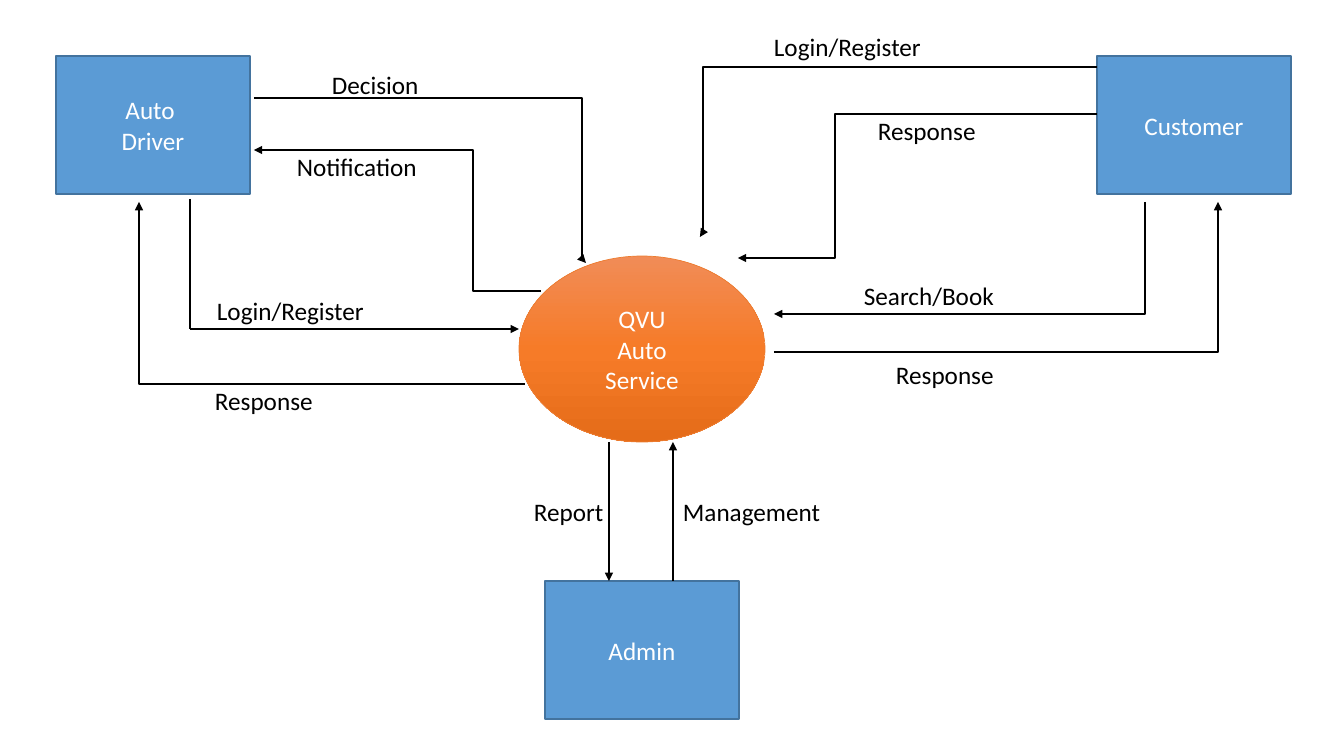
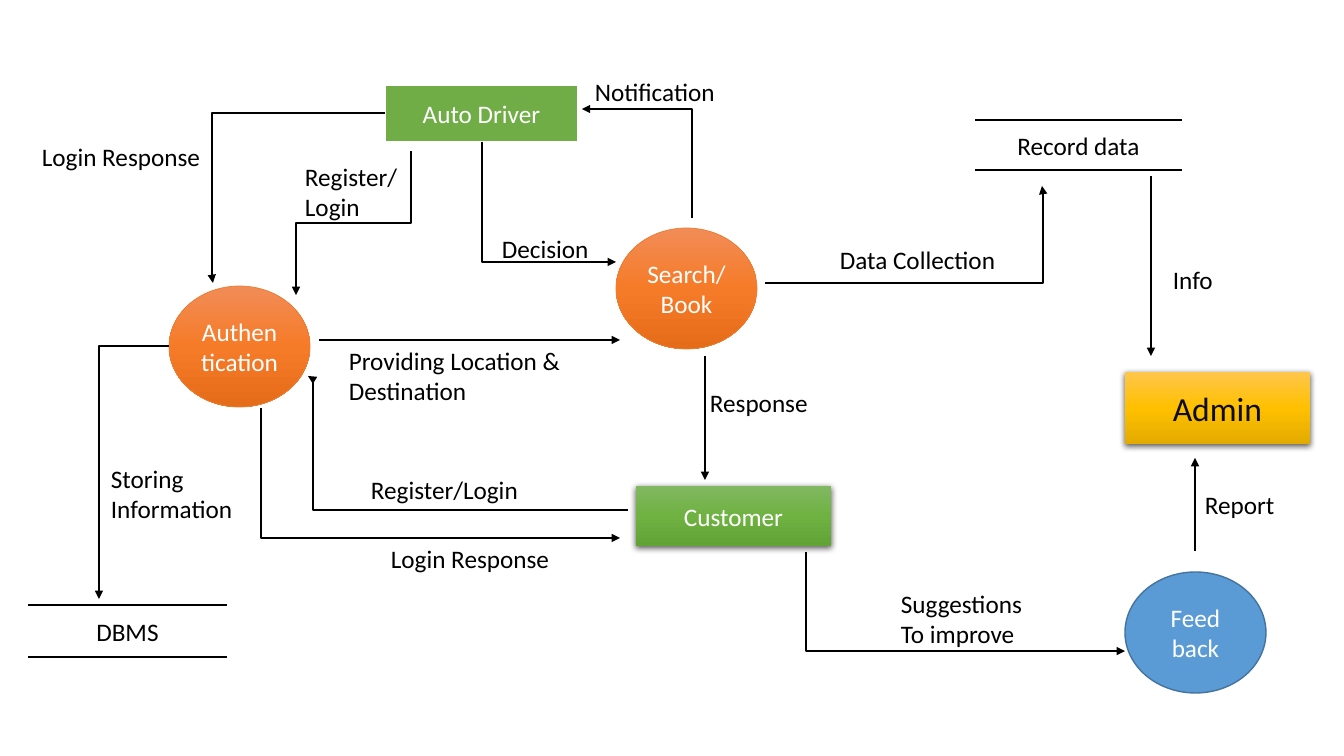
from copy import deepcopy
from dataclasses import dataclass
from typing import Any

from lxml import etree
from pptx import Presentation
from pptx.dml.color import RGBColor
from pptx.enum.shapes import MSO_CONNECTOR, MSO_SHAPE
from pptx.enum.text import MSO_ANCHOR, MSO_AUTO_SIZE, PP_ALIGN
from pptx.oxml.ns import qn
from pptx.util import Emu, Pt

RECT, OVAL = MSO_SHAPE.RECTANGLE, MSO_SHAPE.OVAL
STRAIGHT, ELBOW = MSO_CONNECTOR.STRAIGHT, MSO_CONNECTOR.ELBOW
LEFT, CENTER = PP_ALIGN.LEFT, PP_ALIGN.CENTER
MIDDLE, FIT_TEXT = MSO_ANCHOR.MIDDLE, MSO_AUTO_SIZE.SHAPE_TO_FIT_TEXT

FONT = "Calibri"
BLACK = RGBColor(0x00, 0x00, 0x00)
WHITE = RGBColor(0xFF, 0xFF, 0xFF)
INK = RGBColor(0x0D, 0x0D, 0x0D)
BLUE = RGBColor(0x5B, 0x9B, 0xD5)
BLUE_EDGE = RGBColor(0x43, 0x73, 0x9E)
GREEN = RGBColor(0x70, 0xAD, 0x47)
ORANGE_EDGE = RGBColor(0xED, 0x7D, 0x31)
ORANGES = [RGBColor(0xF1, 0x8C, 0x57), RGBColor(0xF6, 0x7B, 0x28), RGBColor(0xE5, 0x6C, 0x19)]
GREENS = [RGBColor(0x81, 0xB8, 0x61), RGBColor(0x6F, 0xB2, 0x42), RGBColor(0x62, 0xA3, 0x36)]
GOLDS = [RGBColor(0xFF, 0xC6, 0x4B), RGBColor(0xFF, 0xC0, 0x00), RGBColor(0xE3, 0xAB, 0x00)]

# Node styles: fill (one colour or three gradient stops), edge colour, edge width
ENTITY = (BLUE, BLUE_EDGE, 1)
PROCESS = (ORANGES, ORANGE_EDGE, 0.5)
DRIVER = (GREEN, WHITE, 1.5)
RAISED_GREEN = (GREENS, None, 0)
RAISED_GOLD = (GOLDS, None, 0)

ENTITY_SIZE = (194, 138)
CIRCLE_SIZE = (141, 121)
LINE_H = 40
TWO_LINES_H = 72


def px(n):
    return Emu(round(n * 914400 / 100.8))


def write(tf, lines, size, color, align):
    for i, line in enumerate(lines):
        p = tf.paragraphs[0] if i == 0 else tf.add_paragraph()
        p.alignment = align
        r = p.add_run()
        r.text = line
        r.font.name, r.font.size = FONT, Pt(size)
        r.font.color.rgb = color


def paint(sp, fill):
    if not isinstance(fill, list):
        sp.fill.solid()
        sp.fill.fore_color.rgb = fill
        return
    sp.fill.gradient()
    sp.fill.gradient_angle = 270
    stops = sp.element.find(".//" + qn("a:gsLst"))
    stops.insert(1, deepcopy(stops[0]))
    for i, (stop, color) in enumerate(zip(sp.fill.gradient_stops, fill)):
        stop.color.rgb = color
        stop.position = i / 2


def add_shadow(sp):
    effects = sp.element.spPr.find(qn("a:effectLst"))
    shadow = etree.SubElement(effects, qn("a:outerShdw"), blurRad="57150",
                              dist="19050", dir="5400000", algn="ctr", rotWithShape="0")
    color = etree.SubElement(shadow, qn("a:srgbClr"), val="000000")
    etree.SubElement(color, qn("a:alpha"), val="63000")


@dataclass
class Region:
    """Part of a diagram; all coordinates are relative to its corner."""
    s: Any
    x: int
    y: int

    def node(self, kind, size, lines, style, text_size=18, color=WHITE):
        fill, edge, width = style
        sp = self.s.shapes.add_shape(kind, px(self.x), px(self.y), *map(px, size))
        sp.shadow.inherit = False
        paint(sp, fill)
        if edge is None:
            sp.line.fill.background()
            add_shadow(sp)
        else:
            sp.line.color.rgb = edge
            sp.line.width = Pt(width)
        tf = sp.text_frame
        tf.word_wrap, tf.vertical_anchor = True, MIDDLE
        write(tf, lines, text_size, color, CENTER)

    def label(self, x, y, w, *lines, wrap=False, align=LEFT):
        h = LINE_H if len(lines) == 1 else TWO_LINES_H
        tb = self.s.shapes.add_textbox(px(self.x + x), px(self.y + y), px(w), px(h))
        tf = tb.text_frame
        tf.word_wrap, tf.auto_size = wrap, FIT_TEXT
        write(tf, lines, 18, BLACK, align)

    def line(self, start, end, kind=STRAIGHT, head=True):
        points = [px(o + n) for point in (start, end) for o, n in zip((self.x, self.y), point)]
        cn = self.s.shapes.add_connector(kind, *points)
        cn.line.color.rgb = BLACK
        cn.line.width = Pt(1.5)
        if head:
            etree.SubElement(cn.line._get_or_add_ln(), qn("a:tailEnd"), type="triangle")
        etree.SubElement(cn.element.spPr, qn("a:effectLst"))
        return cn

    def elbow(self, start, end, turn):
        """Arrow that runs level to x = turn, then upright, then level."""
        cn = self.line(start, end, ELBOW)
        share = round(100000 * (turn - start[0]) / (end[0] - start[0]))
        guides = cn.element.find(".//" + qn("a:avLst"))
        etree.SubElement(guides, qn("a:gd"), name="adj1", fmla=f"val {share}")

    def step_down(self, start, end):
        """Arrow down, left, then down again: an elbow turned a quarter."""
        (x1, y1), (x2, y2) = start, end
        cx, cy, half_w, half_h = (x1 + x2) / 2, (y1 + y2) / 2, (y2 - y1) / 2, (x1 - x2) / 2
        cn = self.line((cx - half_w, cy - half_h), (cx + half_w, cy + half_h), ELBOW)
        cn.element.find(".//" + qn("a:xfrm")).set("rot", "5400000")


# Context diagram
def service_hub(g):
    g.node(OVAL, (246, 186), ["QVU", "Auto", "Service"], PROCESS)


def driver_context(g):
    g.node(RECT, ENTITY_SIZE, ["Auto ", "Driver"], ENTITY)
    g.elbow((198, 42), (530, 207), 526)
    g.label(266, 8, 108, "Decision")
    g.elbow((485, 235), (198, 94), 417)
    g.label(231, 90, 142, "Notification")
    g.line((134, 143), (134, 273), head=False)
    g.line((134, 273), (463, 273))
    g.label(151, 234, 169, "Login/Register")
    g.elbow((469, 328), (83, 146), 83)
    g.label(149, 324, 119, "Response")


def customer_context(g):
    g.node(RECT, ENTITY_SIZE, ["Customer"], ENTITY)
    g.elbow((0, 11), (-397, 181), -394)
    g.label(-333, -30, 169, "Login/Register")
    g.elbow((0, 58), (-359, 202), -262)
    g.label(-229, 54, 119, "Response")
    g.elbow((48, 146), (-323, 258), 48)
    g.label(-243, 219, 151, "Search/Book")
    g.elbow((-323, 296), (121, 146), 121)
    g.label(-211, 298, 119, "Response")


def admin_context(g):
    g.node(RECT, ENTITY_SIZE, ["Admin"], ENTITY)
    g.line((128, 0), (128, -139))
    g.label(128, -90, 159, "Management")
    g.line((64, -139), (64, 0))
    g.label(-21, -90, 91, "Report")


# Detailed data flow diagram
def data_store(g, w, h, name, name_w):
    for y in (0, h):
        g.line((0, y), (w, y), head=False)
    g.label((w - name_w) / 2, (h - LINE_H) / 2, name_w, name, wrap=True, align=CENTER)


def authentication(g):
    g.node(OVAL, CIRCLE_SIZE, ["Authentication"], PROCESS)
    g.elbow((0, 60), (-70, 313), -70)
    g.label(-68, 172, 143, "Storing", "Information")
    g.line((150, 54), (451, 54))
    g.label(170, 54, 274, "Providing Location &", "Destination", wrap=True)
    g.elbow((92, 122), (451, 252), 92)
    g.label(212, 252, 180, "Login Response")


def driver_flows(g):
    g.node(RECT, (193, 57), ["Auto Driver"], DRIVER)
    g.elbow((0, 28), (-172, 198), -173)
    g.label(-353, 51, 180, "Login Response")
    g.step_down((26, 66), (-89, 210))
    g.label(-90, 71, 114, "Register/", "Login")
    g.elbow((97, 57), (231, 177), 97)
    g.label(107, 143, 108, "Decision")


def search_flows(g):
    g.node(OVAL, CIRCLE_SIZE, ["Search/ Book"], PROCESS)
    g.elbow((76, -10), (-34, -119), 76)
    g.label(-31, -157, 142, "Notification")
    g.line((89, 128), (89, 252))
    g.label(84, 154, 119, "Response")
    g.elbow((149, 55), (426, -42), 427)
    g.label(214, 11, 177, "Data Collection")


def customer_flows(g):
    g.node(RECT, (195, 60), ["Customer"], RAISED_GREEN)
    g.elbow((-8, 24), (-328, -110), -323)
    g.label(-275, -17, 186, "Register/Login", wrap=True)
    g.elbow((170, 66), (489, 165), 170)
    g.label(255, 97, 143, "Suggestions", "To improve")


def admin_flows(g):
    g.node(RECT, (185, 72), ["Admin"], RAISED_GOLD, 24, INK)
    g.line((26, -196), (26, -16))
    g.label(38, -113, 60, "Info")


def feedback_flows(g):
    g.node(OVAL, CIRCLE_SIZE, ["Feed back"], ENTITY)
    g.line((70, -21), (70, -114))
    g.label(70, -88, 91, "Report")


def context_slide(s):
    service_hub(Region(s, 519, 256))
    driver_context(Region(s, 56, 56))
    customer_context(Region(s, 1097, 56))
    admin_context(Region(s, 545, 581))


def data_flow_slide(s):
    authentication(Region(s, 169, 286))
    driver_flows(Region(s, 385, 85))
    search_flows(Region(s, 616, 228))
    customer_flows(Region(s, 636, 486))
    admin_flows(Region(s, 1125, 372))
    feedback_flows(Region(s, 1125, 572))
    data_store(Region(s, 28, 605), 199, 52, "DBMS", 84)
    data_store(Region(s, 975, 120), 207, 50, "Record data", 145)


prs = Presentation()
prs.slide_width, prs.slide_height = px(1344), px(756)
for build in (context_slide, data_flow_slide):
    build(prs.slides.add_slide(prs.slide_layouts[6]))
prs.save("out.pptx")
